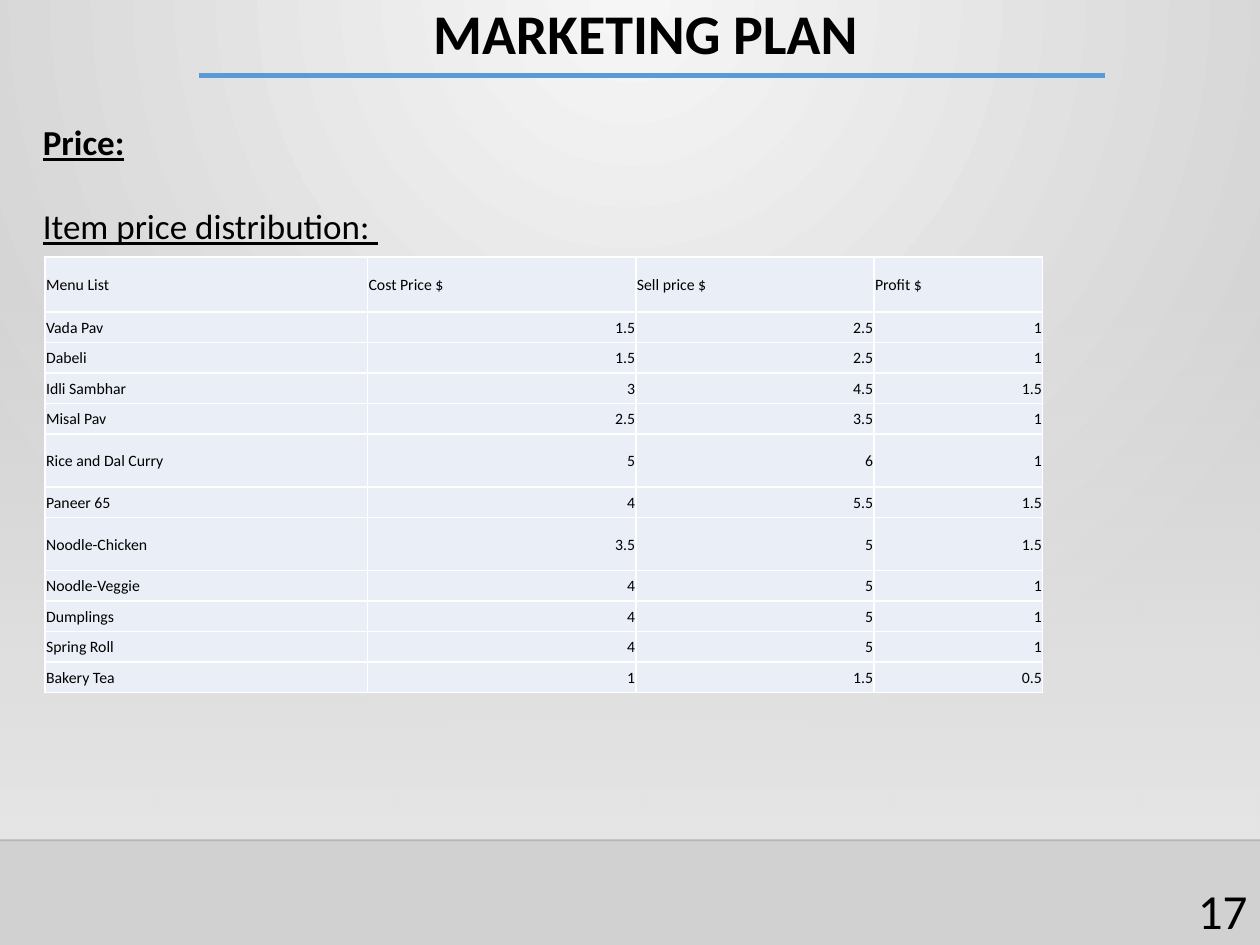
from dataclasses import dataclass

from pptx import Presentation
from pptx import util as u
from pptx.dml import color
from pptx.enum import shapes, text
from pptx.oxml import parse_xml
from pptx.oxml.ns import nsdecls, qn


@dataclass(frozen=True)
class Theme:
    font: str = "Calibri"
    ink: str = "000000"
    accent: str = "5B9BD5"
    glow: str = "F6F6F6"
    edge: str = "D2D1D1"
    panel: str = "E7E6E6"
    cell: str = "EAEFF7"
    border: str = "FFFFFF"
    title_size: int = 32
    number_size: int = 28
    body_size: int = 20
    table_size: int = 9


THEME = Theme()
PRICES = [
    ("Menu List", "Cost Price $", "Sell price $", "Profit $"),
    ("Vada Pav", "1.5", "2.5", "1"),
    ("Dabeli", "1.5", "2.5", "1"),
    ("Idli Sambhar", "3", "4.5", "1.5"),
    ("Misal Pav", "2.5", "3.5", "1"),
    ("Rice and Dal Curry", "5", "6", "1"),
    ("Paneer 65", "4", "5.5", "1.5"),
    ("Noodle-Chicken", "3.5", "5", "1.5"),
    ("Noodle-Veggie", "4", "5", "1"),
    ("Dumplings", "4", "5", "1"),
    ("Spring Roll", "4", "5", "1"),
    ("Bakery Tea", "1", "1.5", "0.5"),
]
COLUMN_WIDTHS = (6.5, 5.41, 4.8, 3.4)
ROW_HEIGHT = 0.615
TALL_ROWS = {0: 1.11, 5: 1.07, 7: 1.07}


def format_runs(paragraph, size, bold=False, underline=False):
    for run in paragraph.runs:
        font = run.font
        font.name, font.size = THEME.font, u.Pt(size)
        font.bold, font.underline = bold, underline
        font.color.rgb = color.RGBColor.from_string(THEME.ink)


def place(shape, box):
    shape.left, shape.top, shape.width, shape.height = (u.Cm(value) for value in box)


def set_gradient(fill, owner, stops, direction):
    """Fill with (position, colour, opacity) stops, all in percent."""
    fill.gradient()
    old = owner.find(".//" + qn("a:gradFill"))
    stop_xml = "".join(
        f'<a:gs pos="{position * 1000}"><a:srgbClr val="{rgb}">'
        f'<a:alpha val="{opacity * 1000}"/></a:srgbClr></a:gs>'
        for position, rgb, opacity in stops)
    old.getparent().replace(old, parse_xml(
        f'<a:gradFill {nsdecls("a")} rotWithShape="1">'
        f"<a:gsLst>{stop_xml}</a:gsLst>{direction}</a:gradFill>"))


def add_rule(slide, left, right, top, rgb, width, opacity=100):
    rule = slide.shapes.add_connector(
        shapes.MSO_CONNECTOR.STRAIGHT, u.Cm(left), u.Cm(top), u.Cm(right), u.Cm(top))
    rule.line.width = u.Pt(width)
    rule.line.color.rgb = color.RGBColor.from_string(rgb)
    if opacity < 100:
        rule.element.find(".//" + qn("a:srgbClr")).append(
            parse_xml(f'<a:alpha {nsdecls("a")} val="{opacity * 1000}"/>'))
    rule.element.spPr.append(parse_xml(f'<a:effectLst {nsdecls("a")}/>'))
    return rule


def add_backdrop(slide, box):
    left, top, width, height = box
    set_gradient(slide.background.fill, slide.element,
                 [(0, THEME.glow, 100), (100, THEME.edge, 100)],
                 '<a:path path="circle"><a:fillToRect l="43000" r="43000" b="100000"/></a:path>')
    # Lighter panel fading in towards the footer
    panel = slide.shapes.add_shape(
        shapes.MSO_SHAPE.RECTANGLE, *(u.Cm(value) for value in box))
    panel.shadow.inherit = False
    panel.line.fill.background()
    set_gradient(panel.fill, panel.element,
                 [(0, THEME.panel, 0), (100, THEME.panel, 100)],
                 '<a:lin ang="5400000" scaled="0"/>')
    footer_rule = add_rule(slide, left, left + width, top + height, THEME.ink, 1, 20)
    title_rule = add_rule(slide, 4.01, 22.28, 1.52, THEME.accent, 2.5)
    # Keep the backdrop behind the placeholders
    tree = slide.shapes.element
    for index, shape in enumerate((panel, footer_rule, title_rule), start=2):
        tree.insert(index, shape.element)


def fill_title(slide, box):
    title = slide.shapes.title
    place(title, box)
    frame = title.text_frame
    frame.text = "MARKETING PLAN"
    frame.auto_size = text.MSO_AUTO_SIZE.NONE
    frame.vertical_anchor = text.MSO_ANCHOR.TOP
    paragraph = frame.paragraphs[0]
    paragraph.alignment = text.PP_ALIGN.CENTER
    paragraph.line_spacing = 0.9
    format_runs(paragraph, THEME.title_size, bold=True)


def fill_headings(slide, box):
    body = slide.placeholders[1]
    place(body, box)
    frame = body.text_frame
    frame.text = "Price:\t\nItem price distribution: "
    frame.auto_size = text.MSO_AUTO_SIZE.NONE
    for index, paragraph in enumerate(frame.paragraphs):
        paragraph.space_before = u.Pt(24 * index)
        format_runs(paragraph, THEME.body_size, bold=index == 0, underline=True)
        properties = paragraph._p.get_or_add_pPr()
        properties.set("marL", "0")
        properties.set("indent", "0")
        properties.append(parse_xml(f'<a:buNone {nsdecls("a")}/>'))
        if index == 0:  # the underline runs on to a tab stop
            properties.append(parse_xml(
                f'<a:tabLst {nsdecls("a")}><a:tab pos="{u.Cm(2.44)}" algn="l"/></a:tabLst>'))


def format_cell(cell, align_right):
    cell.vertical_anchor = text.MSO_ANCHOR.MIDDLE
    cell.margin_left = cell.margin_right = cell.margin_top = u.Cm(0.02)
    cell.margin_bottom = 0
    paragraph = cell.text_frame.paragraphs[0]
    if align_right:
        paragraph.alignment = text.PP_ALIGN.RIGHT
    format_runs(paragraph, THEME.table_size)
    cell.fill.solid()
    cell.fill.fore_color.rgb = color.RGBColor.from_string(THEME.cell)
    properties = cell._tc.get_or_add_tcPr()
    for index, side in enumerate(("lnL", "lnR", "lnT", "lnB")):
        properties.insert(index, parse_xml(
            f'<a:{side} {nsdecls("a")} w="{u.Pt(1)}"><a:solidFill>'
            f'<a:srgbClr val="{THEME.border}"/></a:solidFill></a:{side}>'))


def add_price_table(slide, left, top):
    heights = [TALL_ROWS.get(index, ROW_HEIGHT) for index in range(len(PRICES))]
    table = slide.shapes.add_table(
        len(PRICES), len(COLUMN_WIDTHS), u.Cm(left), u.Cm(top),
        u.Cm(sum(COLUMN_WIDTHS)), u.Cm(sum(heights))).table
    table.first_row = table.horz_banding = False
    for column, width in zip(table.columns, COLUMN_WIDTHS):
        column.width = u.Cm(width)
    for row_index, (row, height) in enumerate(zip(table.rows, heights)):
        row.height = u.Cm(height)
        for column_index, value in enumerate(PRICES[row_index]):
            cell = row.cells[column_index]
            cell.text = value
            format_cell(cell, align_right=row_index > 0 and column_index > 0)


def add_slide_number(slide, box):
    number = slide.shapes.add_textbox(*(u.Cm(value) for value in box))
    frame = number.text_frame
    frame.text = "17"
    frame.word_wrap = True
    frame.vertical_anchor = text.MSO_ANCHOR.MIDDLE
    frame.paragraphs[0].alignment = text.PP_ALIGN.RIGHT
    format_runs(frame.paragraphs[0], THEME.number_size)


def main():
    presentation = Presentation()
    presentation.slide_width, presentation.slide_height = u.Cm(25.4), u.Cm(19.05)
    slide = presentation.slides.add_slide(presentation.slide_layouts[1])
    add_backdrop(slide, (0, 5.59, 25.4, 11.35))
    fill_title(slide, (6.27, 0, 13.49, 1.07))
    add_slide_number(slide, (23.19, 17.65, 2.21, 1.4))
    fill_headings(slide, (0.61, 2.31, 24.79, 15.98))
    add_price_table(slide, 0.91, 5.18)
    presentation.save("out.pptx")


if __name__ == "__main__":
    main()
